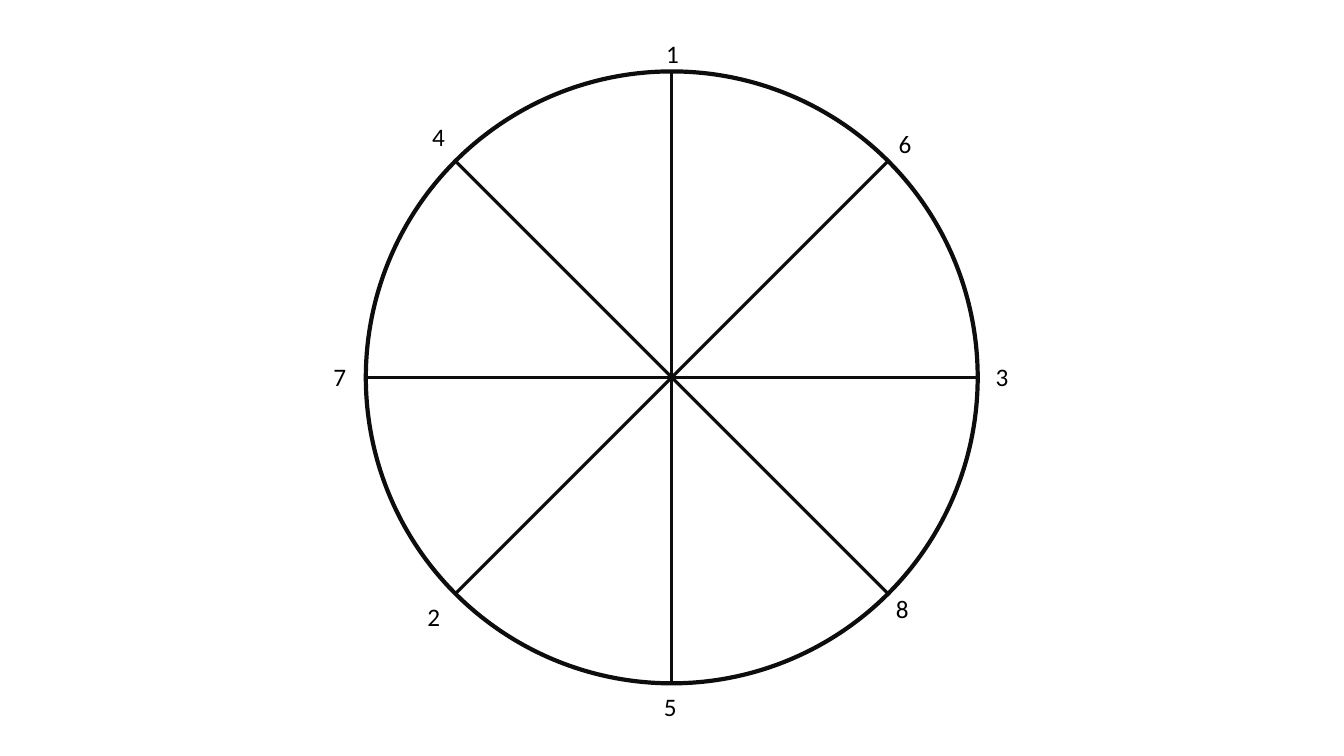
import math

import pptx
import pptx.dml.color
import pptx.enum.shapes
import pptx.enum.text
import pptx.util
from lxml import etree

Cm, Pt = pptx.util.Cm, pptx.util.Pt
RGB = pptx.dml.color.RGBColor.from_string

# Content: label, left, top (cm), wrapping
LABELS = [
    ("1", 16.54, 0.84, False),
    ("2", 10.52, 15.04, False),
    ("3", 24.84, 8.99, False),
    ("4", 10.64, 2.92, False),
    ("5", 16.48, 17.3, True),
    ("7", 8.15, 8.99, True),
    ("6", 22.4, 3.1, True),
    ("8", 22.33, 14.83, True),
]
DIAMETER_ANGLES = [90, 45, 0, -45]
CENTER_X, CENTER_Y, RADIUS = 16.93, 9.51, 7.71
LABEL_W, LABEL_H = 0.84, 1.02
COLORS = {"line": "0D0D0D", "text": "000000"}
LABEL_FONT = {"name": "Calibri", "size": Pt(18)}


def style_line(line, width):
    line.color.rgb = RGB(COLORS["line"])
    line.width = Pt(width)


def add_wheel(s):
    wheel = s.shapes.add_group_shape()

    # Circle
    circle = wheel.shapes.add_shape(
        pptx.enum.shapes.MSO_SHAPE.OVAL,
        Cm(CENTER_X - RADIUS), Cm(CENTER_Y - RADIUS),
        Cm(2 * RADIUS), Cm(2 * RADIUS))
    circle.shadow.inherit = False
    circle.fill.background()
    style_line(circle.line, 3)

    # Diameters
    for angle in DIAMETER_ANGLES:
        dx = RADIUS * math.cos(math.radians(angle))
        dy = RADIUS * math.sin(math.radians(angle))
        diameter = wheel.shapes.add_connector(
            pptx.enum.shapes.MSO_CONNECTOR.STRAIGHT,
            Cm(CENTER_X + dx), Cm(CENTER_Y - dy),
            Cm(CENTER_X - dx), Cm(CENTER_Y + dy))
        style_line(diameter.line, 2.25)
        etree.SubElement(diameter._element.spPr,
                         pptx.oxml.ns.qn("a:effectLst"))


def add_label(s, text, left, top, wrap):
    tf = s.shapes.add_textbox(
        Cm(left), Cm(top), Cm(LABEL_W), Cm(LABEL_H)).text_frame
    tf.word_wrap = wrap
    tf.auto_size = pptx.enum.text.MSO_AUTO_SIZE.SHAPE_TO_FIT_TEXT
    r = tf.paragraphs[0].add_run()
    r.text = text
    for name, value in LABEL_FONT.items():
        setattr(r.font, name, value)
    r.font.color.rgb = RGB(COLORS["text"])


def main():
    prs = pptx.Presentation()
    prs.slide_width, prs.slide_height = Cm(33.87), Cm(19.05)
    s = prs.slides.add_slide(prs.slide_layouts[6])
    add_wheel(s)
    for label in LABELS:
        add_label(s, *label)
    prs.save("out.pptx")


if __name__ == "__main__":
    main()
